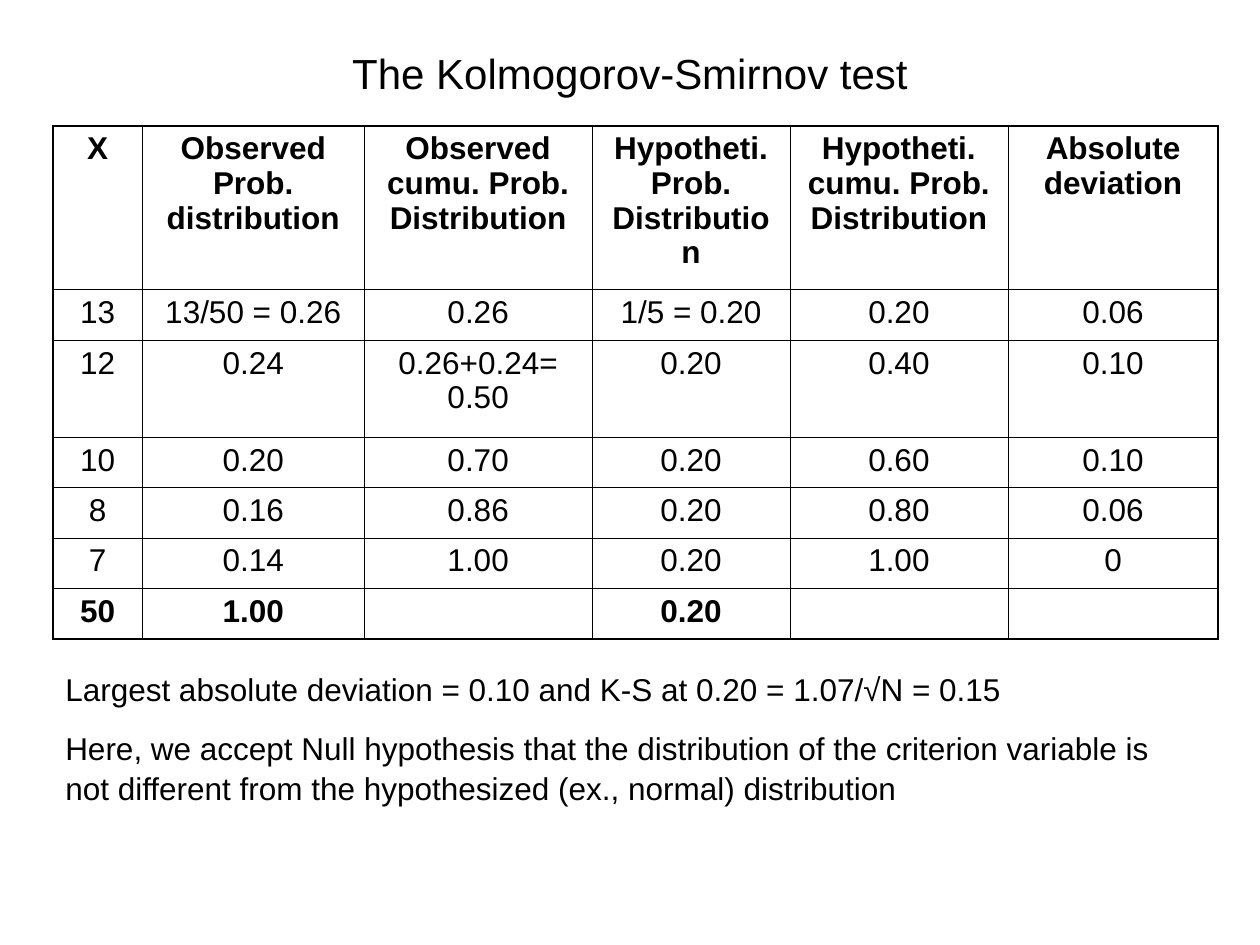
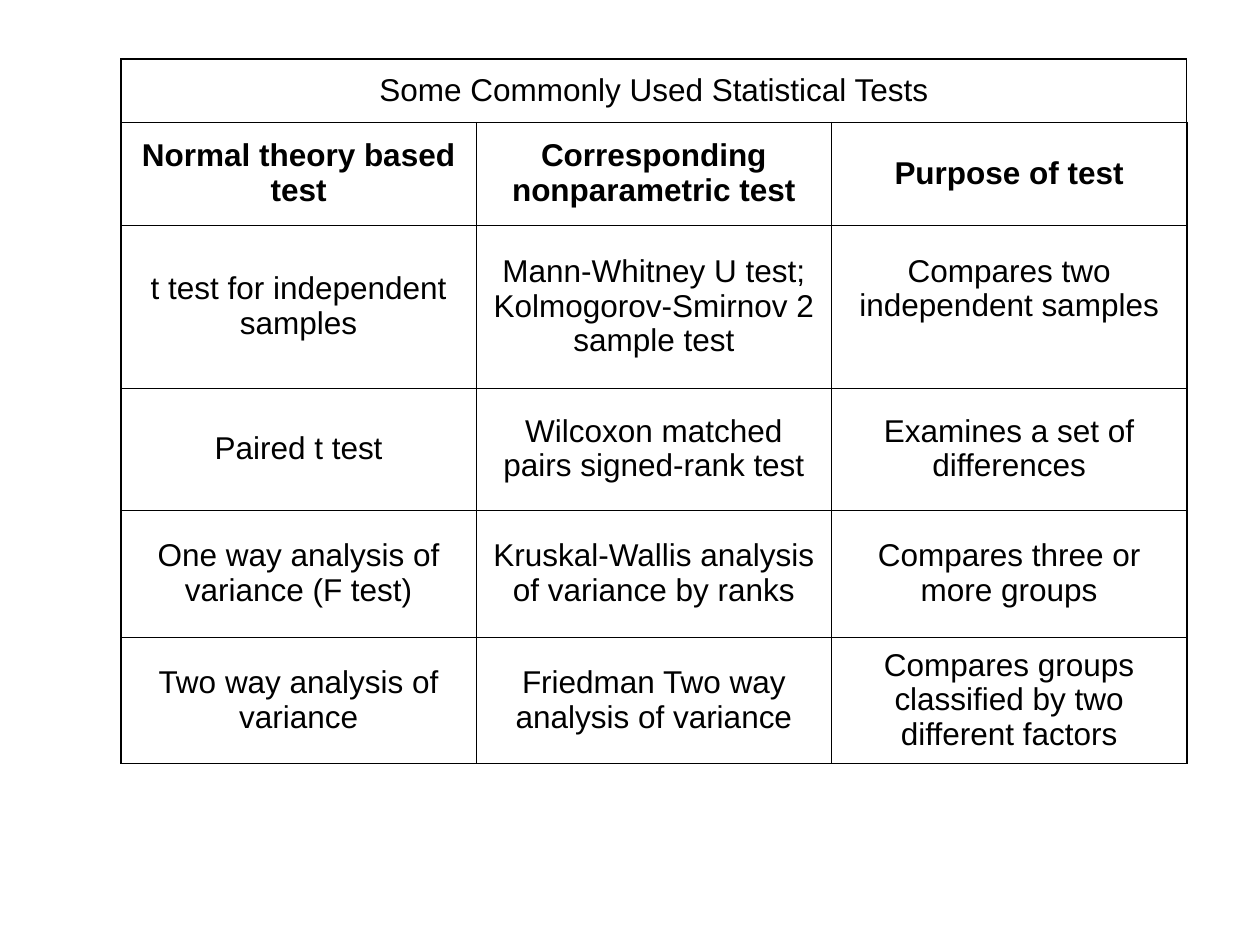
from dataclasses import dataclass
from lxml import etree
from pptx import Presentation
from pptx.dml.color import RGBColor
from pptx.enum.text import MSO_ANCHOR, PP_ALIGN
from pptx.oxml.ns import qn
from pptx.util import Inches, Pt

LEFT, CENTER = PP_ALIGN.LEFT, PP_ALIGN.CENTER
TOP, MIDDLE = MSO_ANCHOR.TOP, MSO_ANCHOR.MIDDLE


@dataclass(frozen=True)
class Theme:
    font: str = "Arial"
    ink: str = "000000"
    title: float = 24
    body: float = 18
    thin: float = 0.45
    thick: float = 1.08


theme = Theme()


def write(para, text, size=theme.body, align=CENTER, bold=False, before=0, line=1):
    para.alignment = align
    para.space_before = Pt(before)
    para.line_spacing = line
    run = para.add_run()
    run.text = text
    run.font.name = theme.font
    run.font.size = Pt(size)
    run.font.bold = bold
    run.font.color.rgb = RGBColor.from_string(theme.ink)


def grid(slide, left, top, widths, heights, rows, heads, anchor):
    """Draw a ruled table with a thick frame and bold text in the head rows."""
    table = slide.shapes.add_table(
        len(heights), len(widths), Inches(left), Inches(top),
        Inches(sum(widths)), Inches(sum(heights))).table
    table.first_row = table.horz_banding = False
    for col, width in zip(table.columns, widths):
        col.width = Inches(width)
    for row, height in zip(table.rows, heights):
        row.height = Inches(height)

    for r in range(len(heights)):
        for c in range(len(widths)):
            cell = table.cell(r, c)
            cell.vertical_anchor = anchor
            props = cell._tc.get_or_add_tcPr()
            edges = {"a:lnL": c == 0, "a:lnR": c == len(widths) - 1,
                     "a:lnT": r == 0, "a:lnB": r == len(heights) - 1}
            for tag, outer in edges.items():
                width = Pt(theme.thick if outer else theme.thin)
                edge = etree.SubElement(props, qn(tag), w=str(int(width)))
                fill = etree.SubElement(edge, qn("a:solidFill"))
                etree.SubElement(fill, qn("a:srgbClr"), val=theme.ink)
            cell.fill.background()
            text = rows[r][c] if c < len(rows[r]) else ""
            if text:
                write(cell.text_frame.paragraphs[0], text,
                      bold=r in heads, before=4.5, line=0.98)
    return table


deck = Presentation()
deck.slide_width, deck.slide_height = Inches(10), Inches(7.5)
blank = deck.slide_layouts[6]

# Slide 1: title
slide = deck.slides.add_slide(blank)
box = slide.shapes.add_textbox(Inches(0.5), Inches(0.33), Inches(9), Inches(0.5))
frame = box.text_frame
frame.word_wrap = True
frame.vertical_anchor = MIDDLE
write(frame.paragraphs[0], "The Kolmogorov-Smirnov test", theme.title)

# Slide 1: table of deviations
rows = [
    ["X", "Observed Prob. distribution", "Observed cumu. Prob. Distribution",
     "Hypotheti.Prob. Distribution", "Hypotheti. cumu. Prob. Distribution",
     "Absolute deviation"],
    ["13", "13/50 = 0.26", "0.26", "1/5 = 0.20", "0.20", "0.06"],
    ["12", "0.24", "0.26+0.24= 0.50", "0.20", "0.40", "0.10"],
    ["10", "0.20", "0.70", "0.20", "0.60", "0.10"],
    ["8", "0.16", "0.86", "0.20", "0.80", "0.06"],
    ["7", "0.14", "1.00", "0.20", "1.00", "0"],
    ["50", "1.00", "", "0.20", "", ""],
]
grid(slide, 0.42, 1, [0.71, 1.76, 1.81, 1.57, 1.73, 1.67],
     [1.3, 0.4, 0.77] + [0.4] * 4, rows, heads=(0, 6), anchor=TOP)

# Slide 1: conclusion
box = slide.shapes.add_textbox(Inches(0.42), Inches(5.25), Inches(9.17), Inches(1.16))
frame = box.text_frame
frame.word_wrap = True
notes = [
    "Largest absolute deviation = 0.10 and K-S at 0.20 = 1.07/√N = 0.15",
    "Here, we accept Null hypothesis that the distribution of the criterion "
    "variable is not different from the hypothesized (ex., normal) distribution",
]
for i, note in enumerate(notes):
    para = frame.add_paragraph() if i else frame.paragraphs[0]
    write(para, note, align=LEFT, before=11.2, line=1.05)

# Slide 2: table of tests
slide = deck.slides.add_slide(blank)
rows = [
    ["Some Commonly Used Statistical Tests"],
    ["Normal theory based test", "Corresponding nonparametric test",
     "Purpose of test"],
    ["t test for independent samples",
     "Mann-Whitney U test; Kolmogorov-Smirnov 2 sample test",
     "Compares two independent samples"],
    ["Paired t test", "Wilcoxon matched pairs signed-rank test",
     "Examines a set of differences"],
    ["One way analysis of variance (F test)",
     "Kruskal-Wallis analysis of variance by ranks",
     "Compares three or more groups"],
    ["Two way analysis of variance", "Friedman Two way analysis of variance",
     "Compares groups classified by two different factors"],
]
table = grid(slide, 0.96, 0.47, [2.82] * 3, [0.5, 0.82, 1.29, 0.97, 1.01, 1],
             rows, heads=(1,), anchor=MIDDLE)
table.cell(0, 0).merge(table.cell(0, 2))
table.cell(2, 2).margin_bottom = Inches(0.33)

deck.save("out.pptx")
